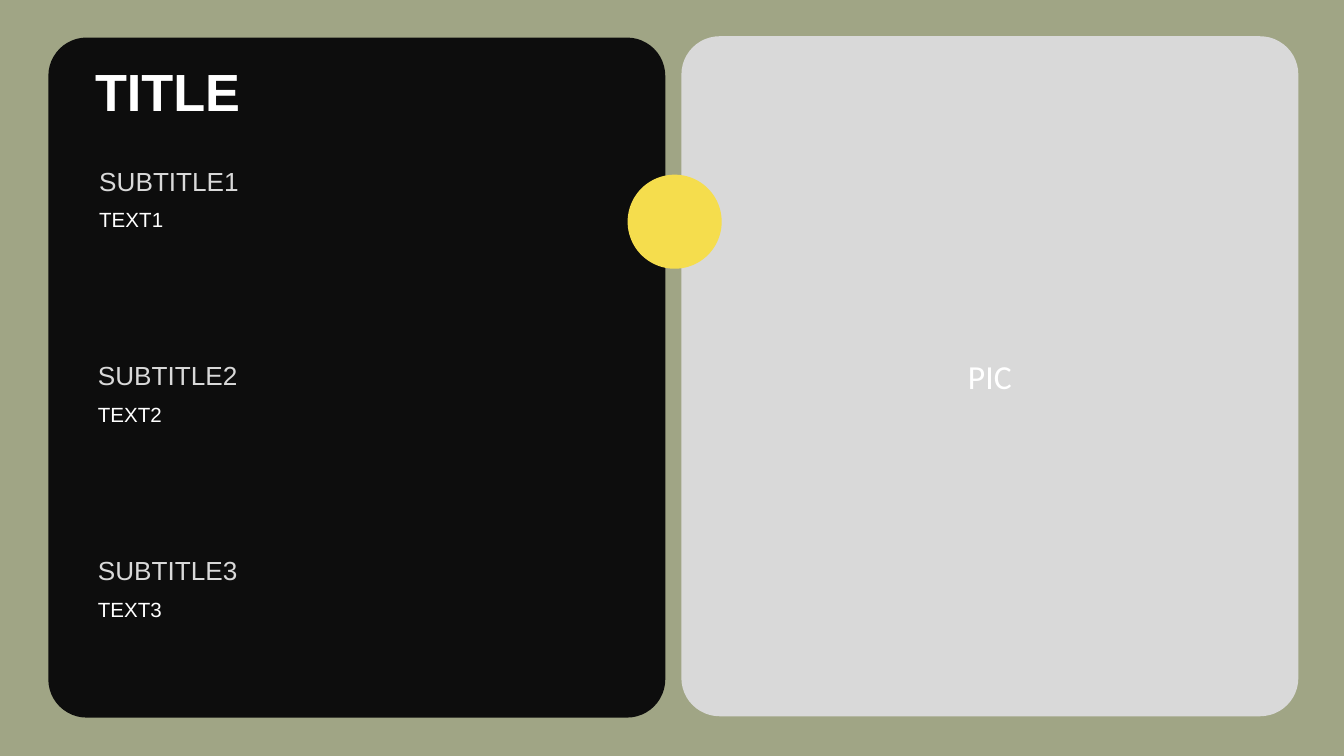
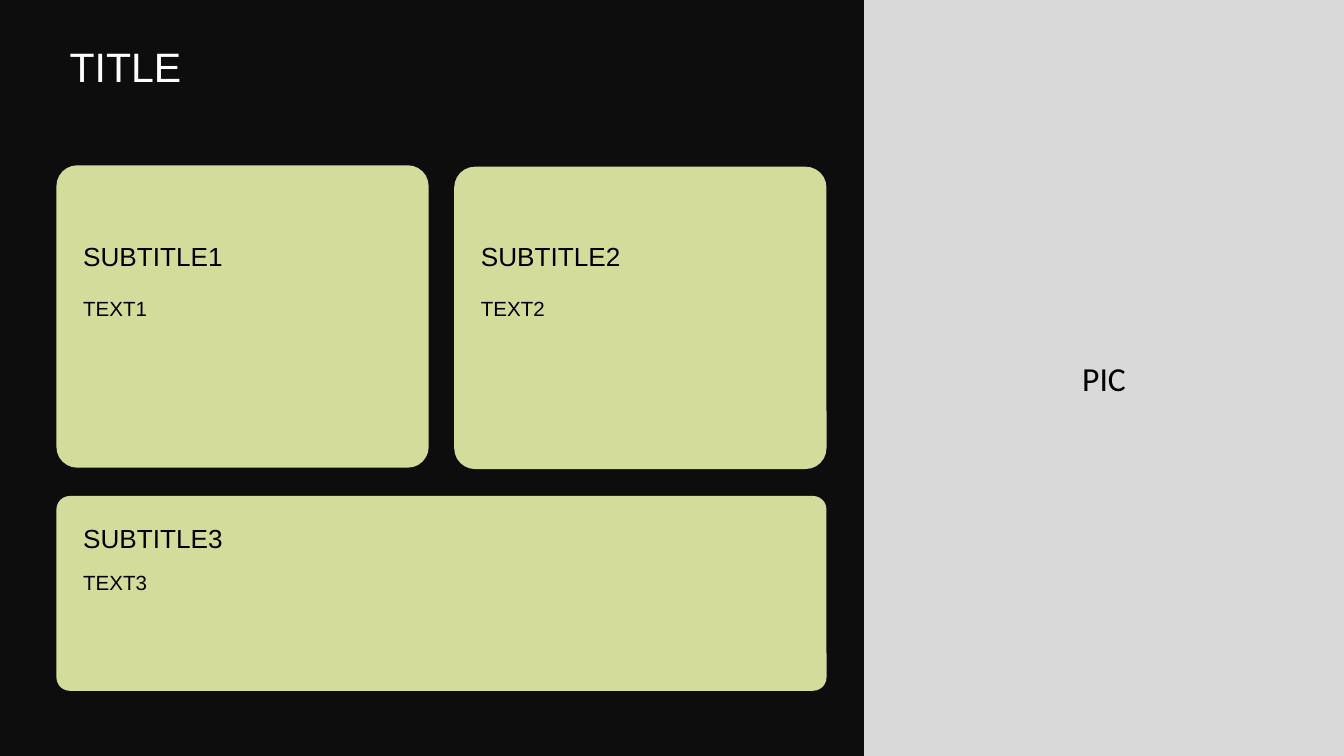
from dataclasses import dataclass

from pptx import Presentation
from pptx.dml.color import RGBColor
from pptx.enum import shapes, text
from pptx.util import Inches, Pt


@dataclass(frozen=True)
class Theme:
    # Colours
    sage: str = "A0A585"
    lime: str = "D4DC9C"
    yellow: str = "F5DD4D"
    ink: str = "0D0D0D"
    grey: str = "D9D9D9"
    white: str = "FFFFFF"
    black: str = "000000"
    # Fonts and type sizes
    font: str = "Arial"
    picture_font: str = "Calibri"
    cover_title: int = 28
    title: int = 22
    picture_label: int = 18
    subtitle: int = 14
    body: int = 11


THEME = Theme()
SLIDE_WIDTH = 10
SLIDE_HEIGHT = SLIDE_WIDTH * 9 / 16
ROUND_RECT = shapes.MSO_SHAPE.ROUNDED_RECTANGLE
OVAL = shapes.MSO_SHAPE.OVAL
TOP, MIDDLE, BOTTOM = (
    text.MSO_ANCHOR.TOP, text.MSO_ANCHOR.MIDDLE, text.MSO_ANCHOR.BOTTOM)


def add_slide(presentation, background):
    slide = presentation.slides.add_slide(presentation.slide_layouts[6])
    fill = slide.background.fill
    fill.solid()
    fill.fore_color.rgb = RGBColor.from_string(background)
    return slide


def write(shape, words, size, color, font=THEME.font, bold=False,
          anchor=TOP, align=text.PP_ALIGN.LEFT):
    text_frame = shape.text_frame
    text_frame.word_wrap = True
    text_frame.vertical_anchor = anchor
    text_frame.text = words
    paragraph = text_frame.paragraphs[0]
    paragraph.alignment = align
    run_font = paragraph.runs[0].font
    run_font.name = font
    run_font.size = Pt(size)
    run_font.bold = bold
    run_font.color.rgb = RGBColor.from_string(color)


def add_panel(slide, box, color, radius=None, kind=ROUND_RECT):
    shape = slide.shapes.add_shape(kind, *map(Inches, box))
    shape.shadow.inherit = False
    shape.fill.solid()
    shape.fill.fore_color.rgb = RGBColor.from_string(color)
    shape.line.fill.background()
    if radius is not None:
        shape.adjustments[0] = radius
    return shape


def add_picture_area(slide, box, radius, label_color):
    shape = add_panel(slide, box, THEME.grey, radius)
    write(shape, "PIC", THEME.picture_label, label_color, THEME.picture_font,
          anchor=MIDDLE, align=text.PP_ALIGN.CENTER)


def add_text(slide, box, words, size, color, **style):
    write(slide.shapes.add_textbox(*map(Inches, box)),
          words, size, color, **style)


def add_section(slide, number, subtitle_box, body_box, subtitle_color,
                body_color):
    add_text(slide, subtitle_box, f"SUBTITLE{number}", THEME.subtitle,
             subtitle_color, anchor=BOTTOM)
    add_text(slide, body_box, f"TEXT{number}", THEME.body, body_color)


def build_list_slide(presentation):
    slide = add_slide(presentation, THEME.sage)

    # Two panels joined by a dot
    add_picture_area(slide, (5.07, 0.27, 4.59, 5.06), 0.062, THEME.white)
    add_panel(slide, (0.36, 0.28, 4.59, 5.06), THEME.ink, 0.062)
    add_panel(slide, (4.67, 1.3, 0.7, 0.7), THEME.yellow, kind=OVAL)

    # Three sections at an equal pitch: left edge and body height vary
    first_top, pitch, width = 0.91, 1.45, 4.04
    sections = [(0.64, 0.86), (0.63, 0.92), (0.63, 0.87)]
    for index, (left, body_height) in enumerate(sections):
        top = first_top + index * pitch
        add_section(slide, index + 1, (left, top, width, 0.6),
                    (left, top + 0.58, width, body_height),
                    THEME.grey, THEME.white)

    add_text(slide, (0.61, 0.39, 4.16, 0.86), "TITLE", THEME.cover_title,
             THEME.white, bold=True)


def build_card_slide(presentation):
    slide = add_slide(presentation, THEME.ink)
    left, right, inset = 0.42, 3.38, 0.1

    # Title and picture side
    add_text(slide, (left, 0.26, 5.52, 0.85), "TITLE", THEME.title,
             THEME.white)
    add_picture_area(slide, (6.43, 0, 3.57, SLIDE_HEIGHT), 0, THEME.black)

    # Cards: the wide one lies at the back
    cards = [(left, 3.69, 5.73, 1.45),
             (right, 1.24, 2.77, 2.25),
             (left, 1.23, 2.77, 2.25)]
    for card in cards:
        add_panel(slide, card, THEME.lime, 0.069)

    # Card texts: card left, then top, width and height of subtitle and body
    small = (1.29, 2.56, 0.78), (2.15, 2.56, 1.25)
    wide = (3.81, 5.73, 0.36), (4.19, 5.63, 0.78)
    card_texts = [(left, small), (right, small), (left, wide)]
    for number, (card_left, places) in enumerate(card_texts, start=1):
        boxes = [(card_left + inset, *place) for place in places]
        add_section(slide, number, *boxes, THEME.black, THEME.black)


def main():
    presentation = Presentation()
    presentation.slide_width = Inches(SLIDE_WIDTH)
    presentation.slide_height = Inches(SLIDE_HEIGHT)
    build_list_slide(presentation)
    build_card_slide(presentation)
    presentation.save("out.pptx")


if __name__ == "__main__":
    main()
